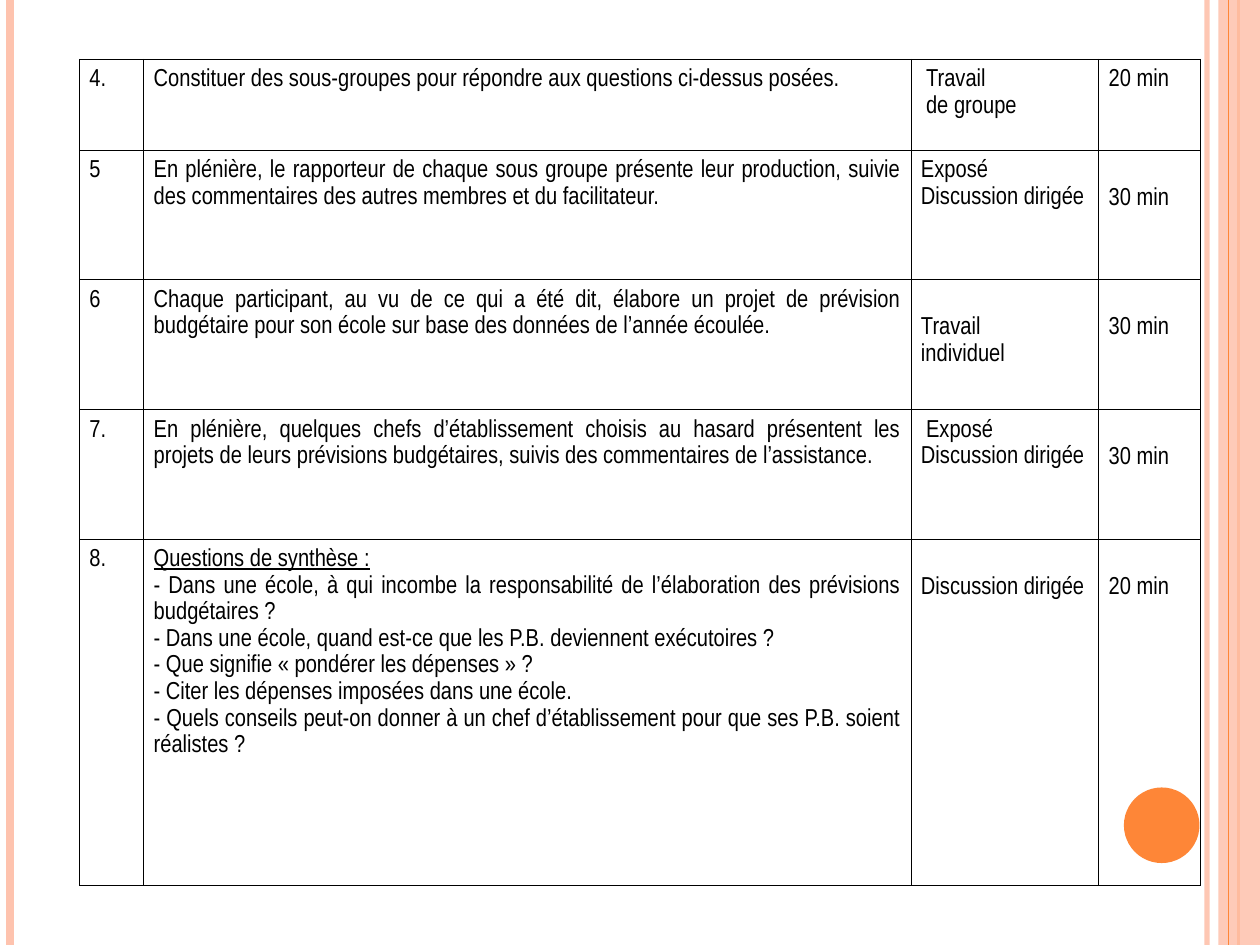
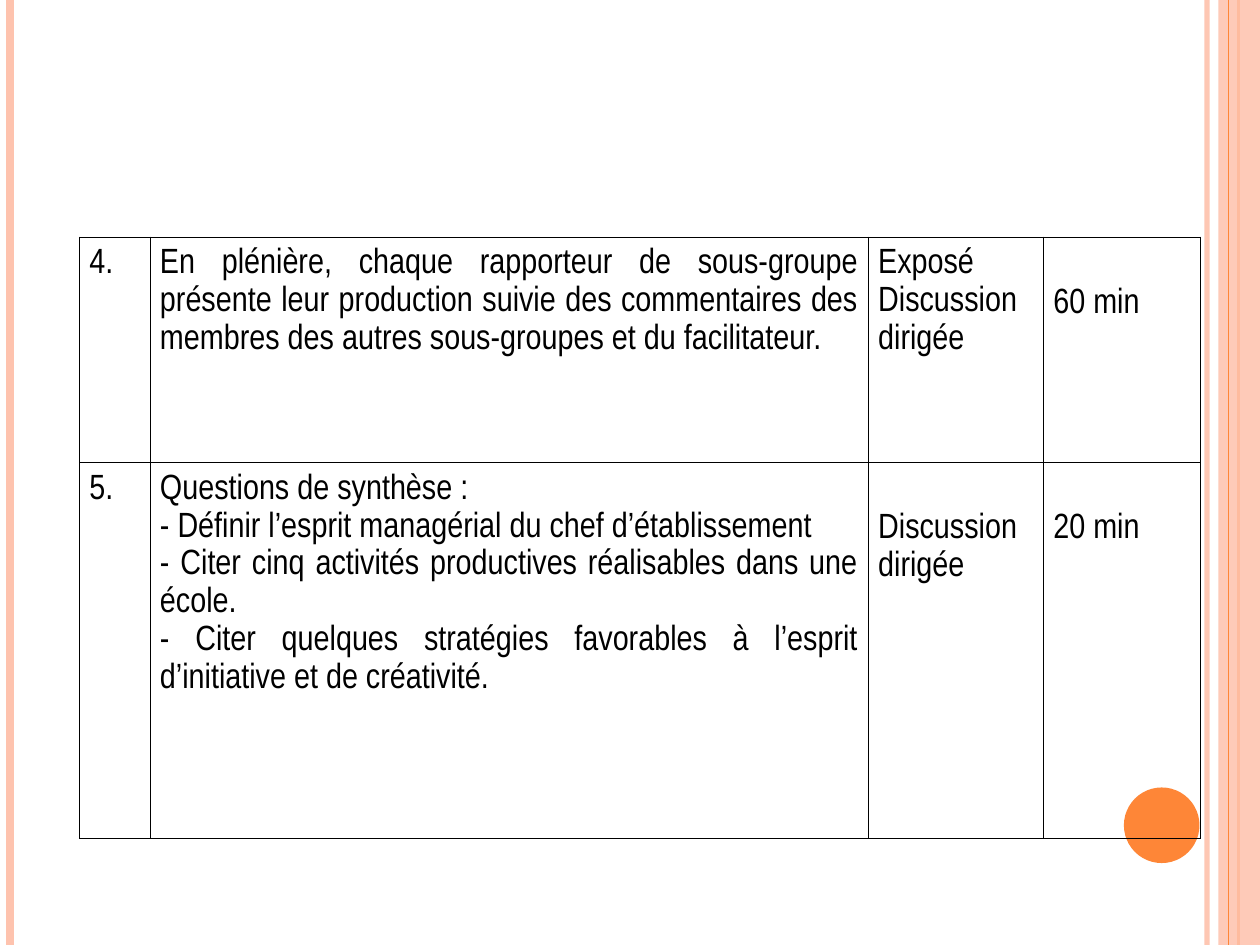
from dataclasses import dataclass

from lxml.etree import SubElement
from pptx import Presentation
from pptx.dml.color import RGBColor
from pptx.enum.shapes import MSO_CONNECTOR, MSO_SHAPE
from pptx.enum.text import PP_ALIGN
from pptx.oxml.ns import qn
from pptx.util import Inches, Pt

COLORS = {"peach": "FEC3AE", "orange": "FE8637", "ink": "000000"}
FONT_NAME = "Arial Narrow"
GRID_COLUMNS, GRID_ROWS = 100, 75
TABLE_LEFT = 6.3
PARAGRAPH_FORMAT = {"alignment": PP_ALIGN.JUSTIFY, "line_spacing": 1.15}
CELL_MARGINS = {
    "margin_left": Inches(0.08),
    "margin_right": Inches(0.08),
    "margin_top": Inches(0.05),
    "margin_bottom": Inches(0.05),
}


@dataclass
class Entry:
    lines: tuple
    lowered: bool = False
    indented: tuple = ()
    underlined: tuple = ()


def set_attributes(target, values):
    for name, value in values.items():
        setattr(target, name, value)


def color(name):
    return RGBColor.from_string(COLORS[name])


class Deck:
    def __init__(self):
        self.presentation = Presentation()
        self.presentation.slide_width = Inches(10)
        self.presentation.slide_height = Inches(7.5)
        self.slide = None

    def x(self, columns):
        return round(self.presentation.slide_width * columns / GRID_COLUMNS)

    def y(self, rows):
        return round(self.presentation.slide_height * rows / GRID_ROWS)

    def add_slide(self):
        self.slide = self.presentation.slides.add_slide(self.presentation.slide_layouts[6])
        self.rule(95.8, "peach", 3, opacity=93)
        self.rule(0.8, "peach", 4.5)
        self.rule(98.3, "orange", 1.5)
        self.shape(MSO_SHAPE.RECTANGLE, (96.7, 0, 3.3, GRID_ROWS), "peach", opacity=87)
        self.rule(97.5, "orange", 0.75)
        self.shape(MSO_SHAPE.OVAL, (89.2, 62.5, 6, 6), "orange")

    def set_opacity(self, shape, opacity):
        if opacity < 100:
            for color_element in list(shape.element.spPr.iter(qn("a:srgbClr"))):
                SubElement(color_element, qn("a:alpha"), val=str(opacity * 1000))

    def rule(self, column, color_name, width, opacity=100):
        connector = self.slide.shapes.add_connector(
            MSO_CONNECTOR.STRAIGHT, self.x(column), 0, self.x(column), self.y(GRID_ROWS))
        connector.line.color.rgb = color(color_name)
        connector.line.width = Pt(width)
        self.set_opacity(connector, opacity)
        SubElement(connector.element.spPr, qn("a:effectLst"))

    def shape(self, kind, box, color_name, opacity=100):
        left, top, width, height = box
        shape = self.slide.shapes.add_shape(
            kind, self.x(left), self.y(top), self.x(width), self.y(height))
        shape.shadow.inherit = False
        shape.fill.solid()
        shape.fill.fore_color.rgb = color(color_name)
        shape.line.fill.background()
        self.set_opacity(shape, opacity)

    def table(self, top, widths, heights, entries, size):
        table = self.slide.shapes.add_table(
            len(heights), len(widths), self.x(TABLE_LEFT), self.y(top),
            self.x(sum(widths)), self.y(sum(heights))).table
        set_attributes(table, {"first_row": False, "horz_banding": False})
        for column, width in zip(table.columns, widths):
            column.width = self.x(width)
        for row, height, row_entries in zip(table.rows, heights, entries):
            row.height = self.y(height)
            for cell, entry in zip(row.cells, row_entries):
                self.fill_cell(cell, entry, size)

    def fill_cell(self, cell, entry, size):
        if isinstance(entry, str):
            entry = Entry((entry,))
        set_attributes(cell, CELL_MARGINS)
        if entry.lowered:
            cell.margin_top += Pt(size * 1.13)
        self.add_borders(cell)
        cell.fill.background()
        cell.text = "\n".join(entry.lines)
        for index, paragraph in enumerate(cell.text_frame.paragraphs):
            set_attributes(paragraph, PARAGRAPH_FORMAT)
            if index in entry.indented:
                properties = paragraph._p.get_or_add_pPr()
                properties.set("marL", str(Inches(0.04)))
                properties.set("indent", "0")
            for run in paragraph.runs:
                set_attributes(run.font, {
                    "name": FONT_NAME, "size": Pt(size), "underline": index in entry.underlined})
                run.font.color.rgb = color("ink")

    def add_borders(self, cell):
        properties = cell._tc.get_or_add_tcPr()
        for side in ("a:lnL", "a:lnR", "a:lnT", "a:lnB"):
            border = SubElement(properties, qn(side), w=str(Pt(0.45)))
            fill = SubElement(border, qn("a:solidFill"))
            SubElement(fill, qn("a:srgbClr"), val=COLORS["ink"])


def lowered(*lines):
    return Entry(lines, lowered=True)


BUDGET_STEPS = [
    ("4.",
     "Constituer des sous-groupes pour répondre aux questions ci-dessus posées.",
     Entry(("Travail", "de groupe"), indented=(0, 1)),
     "20 min"),
    ("5",
     "En plénière, le rapporteur de chaque sous groupe présente leur production, suivie "
     "des commentaires des autres membres et du facilitateur.",
     Entry(("Exposé", "Discussion dirigée")),
     lowered("30 min")),
    ("6",
     "Chaque participant, au vu de ce qui a été dit, élabore un projet de prévision "
     "budgétaire pour son école sur base des données de l’année écoulée.",
     lowered("Travail", "individuel"),
     lowered("30 min")),
    ("7.",
     "En plénière, quelques chefs d’établissement choisis au hasard présentent les "
     "projets de leurs prévisions budgétaires, suivis des commentaires de l’assistance.",
     Entry(("Exposé", "Discussion dirigée"), indented=(0,)),
     lowered("30 min")),
    ("8.",
     Entry((
         "Questions de synthèse :",
         "- Dans une école, à qui incombe la responsabilité de l’élaboration des prévisions "
         "budgétaires ?",
         "- Dans une école, quand est-ce que les P.B. deviennent exécutoires ?",
         "- Que signifie « pondérer les dépenses » ?",
         "- Citer les dépenses imposées dans une école.",
         "- Quels conseils peut-on donner à un chef d’établissement pour que ses P.B. soient "
         "réalistes ?"), underlined=(0,)),
     lowered("Discussion dirigée"),
     lowered("20 min")),
]

MANAGEMENT_STEPS = [
    ("4.",
     "En plénière, chaque rapporteur de sous-groupe présente leur production suivie des "
     "commentaires des membres des autres sous-groupes et du facilitateur.",
     Entry(("Exposé", "Discussion dirigée")),
     lowered("60 min")),
    ("5.",
     Entry((
         "Questions de synthèse :",
         "- Définir l’esprit managérial du chef d’établissement",
         "- Citer cinq activités productives réalisables dans une école.",
         "- Citer quelques stratégies favorables à l’esprit d’initiative et de créativité.")),
     lowered("Discussion dirigée"),
     lowered("20 min")),
]


def main():
    deck = Deck()
    deck.add_slide()
    deck.table(4.7, (5.1, 60.9, 14.9, 8.1), (7.2, 10.3, 10.3, 10.3, 27.5), BUDGET_STEPS, 14)
    deck.add_slide()
    deck.table(18.8, (5.6, 57, 13.9, 12.5), (17.9, 29.8), MANAGEMENT_STEPS, 20)
    deck.presentation.save("out.pptx")


if __name__ == "__main__":
    main()
